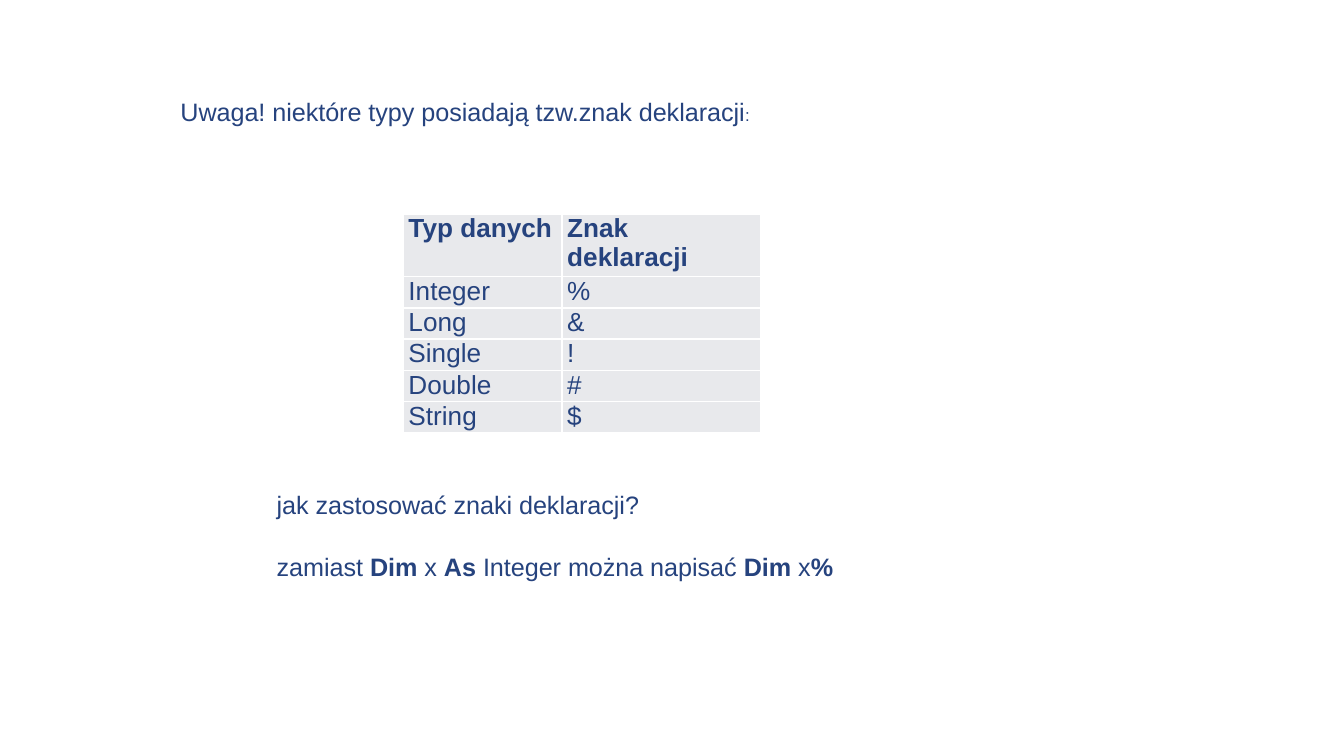
"""Builds a slide about the type-declaration characters of data types."""
import dataclasses

import lxml.etree
import pptx
import pptx.dml.color
import pptx.enum.text
import pptx.oxml
import pptx.oxml.ns
import pptx.util
from pptx.util import Cm


@dataclasses.dataclass(frozen=True)
class Theme:
    font: str = "Arial"
    ink: str = "26437E"
    cell: str = "E8E9EC"
    border: str = "FFFFFF"
    text_size: float = 13.5
    table_size: float = 14
    colon_size: float = 9


theme = Theme()


def add_text(para, text, size=theme.text_size, bold=False):
    span = para.add_run()
    span.text = text
    span.font.name = theme.font
    span.font.size = pptx.util.Pt(size)
    span.font.bold = bold
    span.font.color.rgb = pptx.dml.color.RGBColor.from_string(theme.ink)


def add_borders(cell):
    properties = cell._tc.get_or_add_tcPr()
    for side in ("a:lnL", "a:lnR", "a:lnT", "a:lnB"):
        line = lxml.etree.SubElement(properties, pptx.oxml.ns.qn(side), w=str(pptx.util.Pt(1)))
        fill = lxml.etree.SubElement(line, pptx.oxml.ns.qn("a:solidFill"))
        lxml.etree.SubElement(fill, pptx.oxml.ns.qn("a:srgbClr"), val=theme.border)


deck = pptx.Presentation()
deck.slide_width = Cm(25.4)
deck.slide_height = Cm(14.29)
page = deck.slides.add_slide(deck.slide_layouts[5])

title = page.shapes.title
title.left, title.top, title.width, title.height = Cm(3.23), Cm(1.73), Cm(11.56), Cm(1.35)
frame = title.text_frame
frame.word_wrap = True
frame.auto_size = pptx.enum.text.MSO_AUTO_SIZE.NONE
frame.vertical_anchor = pptx.enum.text.MSO_ANCHOR.TOP
frame.margin_left = frame.margin_right = Cm(0.18)
frame.margin_top = frame.margin_bottom = Cm(0.1)
para = frame.paragraphs[0]
para.alignment = pptx.enum.text.PP_ALIGN.LEFT
add_text(para, "Uwaga! niektóre typy posiadają tzw.znak deklaracji")
add_text(para, ":", size=theme.colon_size)

entries = [
    ("Typ danych", "Znak deklaracji"),
    ("Integer", "%"),
    ("Long", "&"),
    ("Single", "!"),
    ("Double", "#"),
    ("String", "$"),
]
column_widths = [Cm(3), Cm(3.76)]
header_height, row_height = Cm(1.19), Cm(0.59)
table = page.shapes.add_table(
    len(entries), len(column_widths), Cm(7.62), Cm(4.04),
    sum(column_widths), header_height + row_height * (len(entries) - 1),
).table
table.first_row = table.horz_banding = False
for column, width in zip(table.columns, column_widths):
    column.width = width
for row_number, entry in enumerate(entries):
    is_header = row_number == 0
    table.rows[row_number].height = header_height if is_header else row_height
    for cell, text in zip(table.rows[row_number].cells, entry):
        cell.margin_left = cell.margin_right = Cm(0.1)
        cell.margin_top = cell.margin_bottom = 0
        add_borders(cell)
        cell.fill.solid()
        cell.fill.fore_color.rgb = pptx.dml.color.RGBColor.from_string(theme.cell)
        add_text(cell.text_frame.paragraphs[0], text, size=theme.table_size, bold=is_header)

box = page.shapes.add_textbox(Cm(4.98), Cm(9.12), Cm(11.4), Cm(1.98))
box.text_frame.word_wrap = True
add_text(box.text_frame.paragraphs[0], "jak zastosować znaki deklaracji?")
para = box.text_frame.add_paragraph()
para.space_before = pptx.util.Pt(17)
example = [
    ("zamiast ", False),
    ("Dim", True),
    (" x ", False),
    ("As ", True),
    ("Integer można napisać ", False),
    ("Dim", True),
    (" x", False),
    ("%", True),
]
for text, bold in example:
    add_text(para, text, bold=bold)

deck.save("out.pptx")
